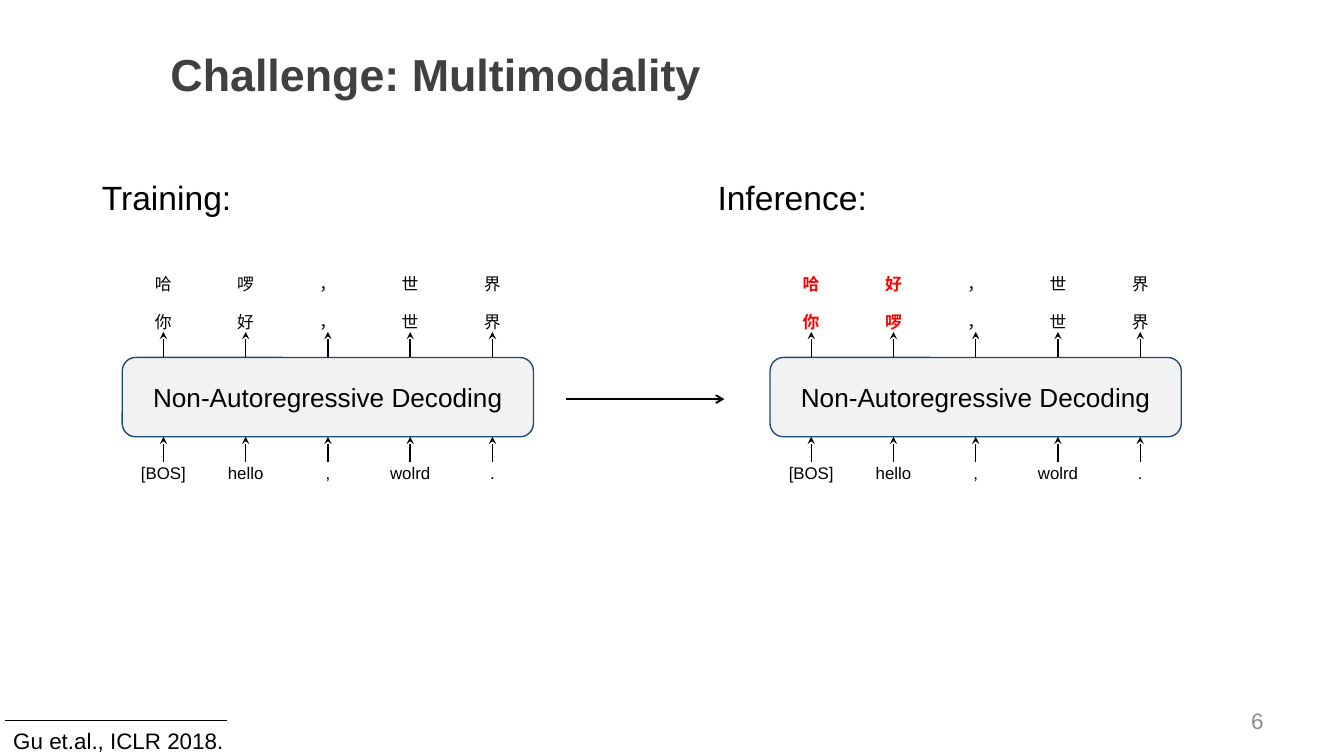
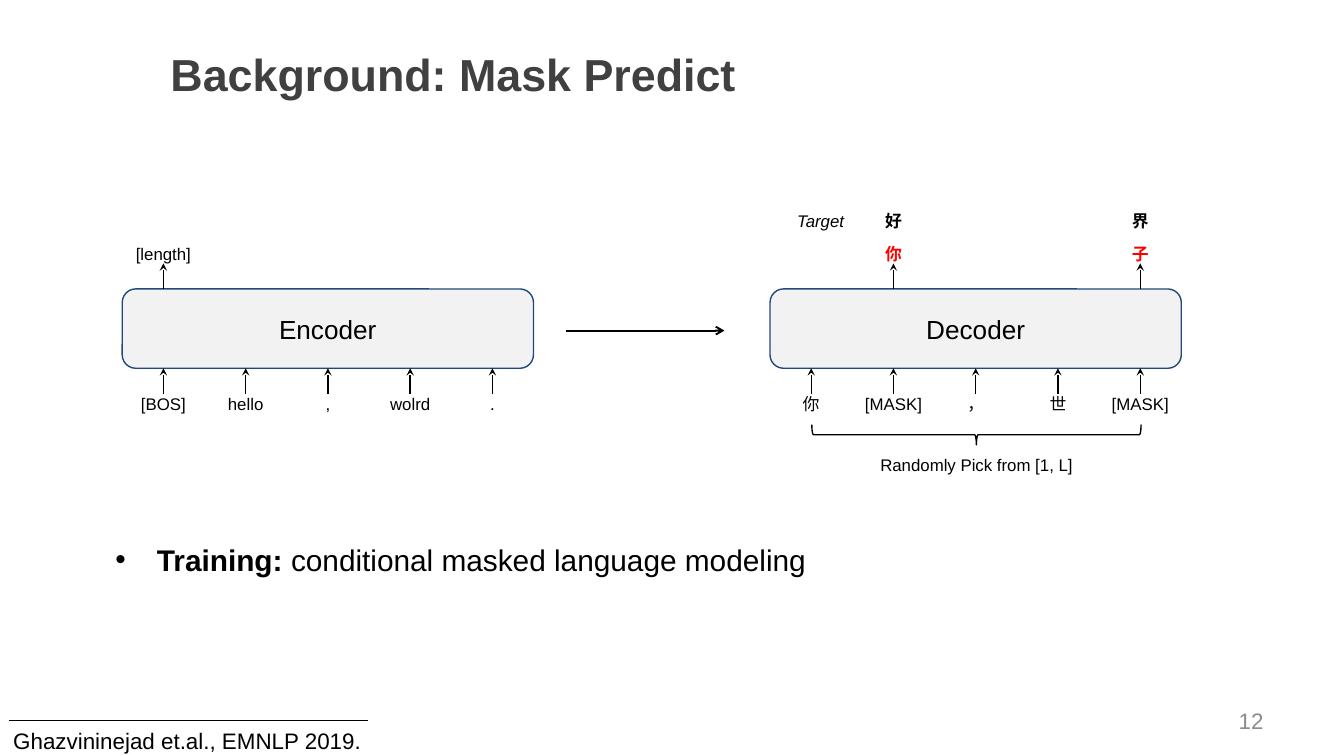
import pptx
import pptx.util
import pptx.dml.color
import pptx.enum.shapes
import pptx.enum.text
import pptx.oxml.ns

Inches = pptx.util.Inches
SHAPE = pptx.enum.shapes.MSO_SHAPE
ALIGN = pptx.enum.text.PP_ALIGN
ANCHOR = pptx.enum.text.MSO_ANCHOR

FONT = "Arial"
BLACK, RED, TITLE, GREY = "000000", "FF0000", "404040", "8C8C8C"
FILL, EDGE = "EEEEEE", "1F497D"

BOLD = {"bold": True}
HOT = {"bold": True, "color": RED}

# Layout in inches
LEFT, RIGHT = 0.91, 5.73
WIDTH, HIGH, COLS = 3.06, 0.59, 5
STEP = WIDTH / COLS
STEM, CELL = 0.19, 0.15

# A cell is a word or a (word, style) pair; an empty one is skipped.
SOURCE = ["[BOS]", "hello", ",", "wolrd", "."]
NAT = "Non-Autoregressive Decoding"
SLIDES = [
    {
        "title": "Challenge: Multimodality", "page": "6", "title_w": 5.24,
        "cite": "Gu et.al., ICLR 2018.", "cite_w": 1.82, "rule": (0.04, 1.69),
        "top": 2.66, "gap": 0.28,
        "units": [
            {"x": LEFT, "name": NAT, "inputs": SOURCE,
             "outputs": ["你", "好", "，", "世", "界"],
             "upper": ["哈", "啰", "，", "世", "界"]},
            {"x": RIGHT, "name": NAT, "inputs": SOURCE,
             "outputs": [("你", HOT), ("啰", HOT), "，", "世", "界"],
             "upper": [("哈", HOT), ("好", HOT), "，", "世", "界"]},
        ],
    },
    {
        "title": "Background: Mask Predict", "page": "12", "title_w": 4.93,
        "cite": "Ghazvininejad et.al., EMNLP 2019.", "cite_w": 2.95,
        "rule": (0.07, 2.74),
        "top": 2.15, "gap": 0.24,
        "units": [
            {"x": LEFT, "name": "Encoder", "inputs": SOURCE,
             "outputs": ["[length]"], "upper": []},
            {"x": RIGHT, "name": "Decoder",
             "inputs": ["你", "[MASK]", "，", "世", "[MASK]"],
             "outputs": ["", ("你", HOT), "", "", ("子", HOT)],
             "upper": ["", ("好", BOLD), "", "", ("界", BOLD)]},
        ],
    },
]
PHASES = [("Training:", 0.66, 1.17), ("Inference:", 5.24, 1.32)]
POINT = [("Training: ", BOLD), ("conditional masked language modeling", {})]


def rgb(code):
    return pptx.dml.color.RGBColor.from_string(code)


def add_tag(parent, tag, **attrs):
    node = parent.makeelement(pptx.oxml.ns.qn(tag), attrs)
    parent.append(node)
    return node


def add_run(para, words, size, color=BLACK, bold=False, italic=False):
    run = para.add_run()
    run.text = words
    font = run.font
    font.name, font.size = FONT, pptx.util.Pt(size)
    font.bold, font.italic = bold, italic
    font.color.rgb = rgb(color)


def set_pads(frame, side, end):
    frame.margin_left = frame.margin_right = Inches(side)
    frame.margin_top = frame.margin_bottom = Inches(end)


def add_text(shapes, box, runs, size, align=ALIGN.LEFT, anchor=ANCHOR.TOP,
             wrap=True, pads=(0.1, 0.05)):
    """Add a one-paragraph text box; runs are (words, style) pairs."""
    frame = shapes.add_textbox(*map(Inches, box)).text_frame
    frame.word_wrap, frame.vertical_anchor = wrap, anchor
    set_pads(frame, *pads)
    para = frame.paragraphs[0]
    para.alignment = align
    for words, style in runs:
        add_run(para, words, size, **style)
    return para


def add_label(shapes, box, words, style):
    add_text(shapes, box, [(words, style)], 9, ALIGN.CENTER, pads=(0.05, 0))


def add_line(shapes, start, end, width=0.75, head=None):
    line = shapes.add_connector(pptx.enum.shapes.MSO_CONNECTOR.STRAIGHT,
                                *map(Inches, start + end))
    line.line.color.rgb = rgb(BLACK)
    line.line.width = pptx.util.Pt(width)
    if head:
        add_tag(line.line._get_or_add_ln(), "a:tailEnd",
                type=head, w="sm", len="sm")
    add_tag(line._element.spPr, "a:effectLst")


def add_shape(shapes, kind, box, edge):
    shape = shapes.add_shape(kind, *map(Inches, box))
    shape.shadow.inherit = False
    shape.line.color.rgb = rgb(edge)
    shape.line.width = pptx.util.Pt(0.75)
    return shape


def add_block(shapes, x, top, name):
    block = add_shape(shapes, SHAPE.ROUNDED_RECTANGLE,
                      (x, top, WIDTH, HIGH), EDGE)
    block.adjustments[0] = 0.17
    block.fill.solid()
    block.fill.fore_color.rgb = rgb(FILL)
    tint = block._element.spPr.find(".//" + pptx.oxml.ns.qn("a:srgbClr"))
    add_tag(tint, "a:alpha", val="74000")
    frame = block.text_frame
    frame.word_wrap, frame.vertical_anchor = True, ANCHOR.MIDDLE
    set_pads(frame, 0.1, 0.1)
    para = frame.paragraphs[0]
    para.alignment = ALIGN.CENTER
    add_run(para, name, 14)


def add_row(shapes, x, y, cells, stem=None):
    """Add a row of words and, if stem is given, arrows starting there."""
    for col, cell in enumerate(cells):
        words, style = (cell, {}) if isinstance(cell, str) else cell
        if not words:
            continue
        left = x + col * STEP
        add_label(shapes, (left, y, STEP, CELL), words, style)
        if stem is not None:
            mid = left + STEP / 2
            add_line(shapes, (mid, stem), (mid, stem - STEM), head="stealth")


def add_unit(slide, unit, top, gap):
    shapes = slide.shapes.add_group_shape().shapes
    x, foot = unit["x"], top + HIGH + STEM
    above = top - STEM - CELL
    add_block(shapes, x, top, unit["name"])
    add_row(shapes, x, above, unit["outputs"], top)
    add_row(shapes, x, foot, unit["inputs"], foot)
    add_row(shapes, x, above - gap, unit["upper"])


def add_slide(deck, page):
    slide = deck.slides.add_slide(deck.slide_layouts[6])
    shapes = slide.shapes
    add_text(shapes, (7.17, 5.21, 2.33, 0.3), [(page["page"], {"color": GREY})],
             12, ALIGN.RIGHT, ANCHOR.MIDDLE)
    add_text(shapes, (1.17, 0.19, page["title_w"], 0.71),
             [(page["title"], {"color": TITLE, "bold": True})], 24,
             anchor=ANCHOR.MIDDLE)
    for unit in page["units"]:
        add_unit(slide, unit, page["top"], page["gap"])
    mid = page["top"] + 0.31
    add_line(shapes, (4.21, mid), (5.39, mid), 1, "arrow")
    start, end = page["rule"]
    add_line(shapes, (start, 5.36), (end, 5.36))
    add_text(shapes, (0, 5.36, page["cite_w"], 0.3), [(page["cite"], {})], 12)
    return shapes


def add_phases(shapes):
    for words, x, width in PHASES:
        add_text(shapes, (x, 1.27, width, 0.4), [(words, {})], 18, wrap=False)


def add_notes(shapes):
    """Add the target label, the brace with its caption, and the bullet."""
    add_label(shapes, (5.8, 1.57, STEP, CELL), "Target", {"italic": True})
    brace = add_shape(shapes, SHAPE.LEFT_BRACE, (7.19, 2.01, 0.15, 2.45), BLACK)
    brace.fill.background()
    brace.rotation = 270
    brace.adjustments[0], brace.adjustments[1] = 0.08, 0.5
    add_label(shapes, (6.49, 3.38, 1.55, 0.19), "Randomly Pick from [1, L]", {})
    para = add_text(shapes, (0.76, 3.98, 5.4, 0.37), POINT, 16, wrap=False)
    props = para._p.get_or_add_pPr()
    props.set("marL", str(Inches(0.31)))
    props.set("indent", str(-Inches(0.31)))
    add_tag(props, "a:buFont", typeface=FONT)
    add_tag(props, "a:buChar", char="•")


def main():
    deck = pptx.Presentation()
    deck.slide_width = Inches(10)
    deck.slide_height = deck.slide_width * 9 // 16
    first, second = [add_slide(deck, page) for page in SLIDES]
    add_phases(first)
    add_notes(second)
    deck.save("out.pptx")


if __name__ == "__main__":
    main()
